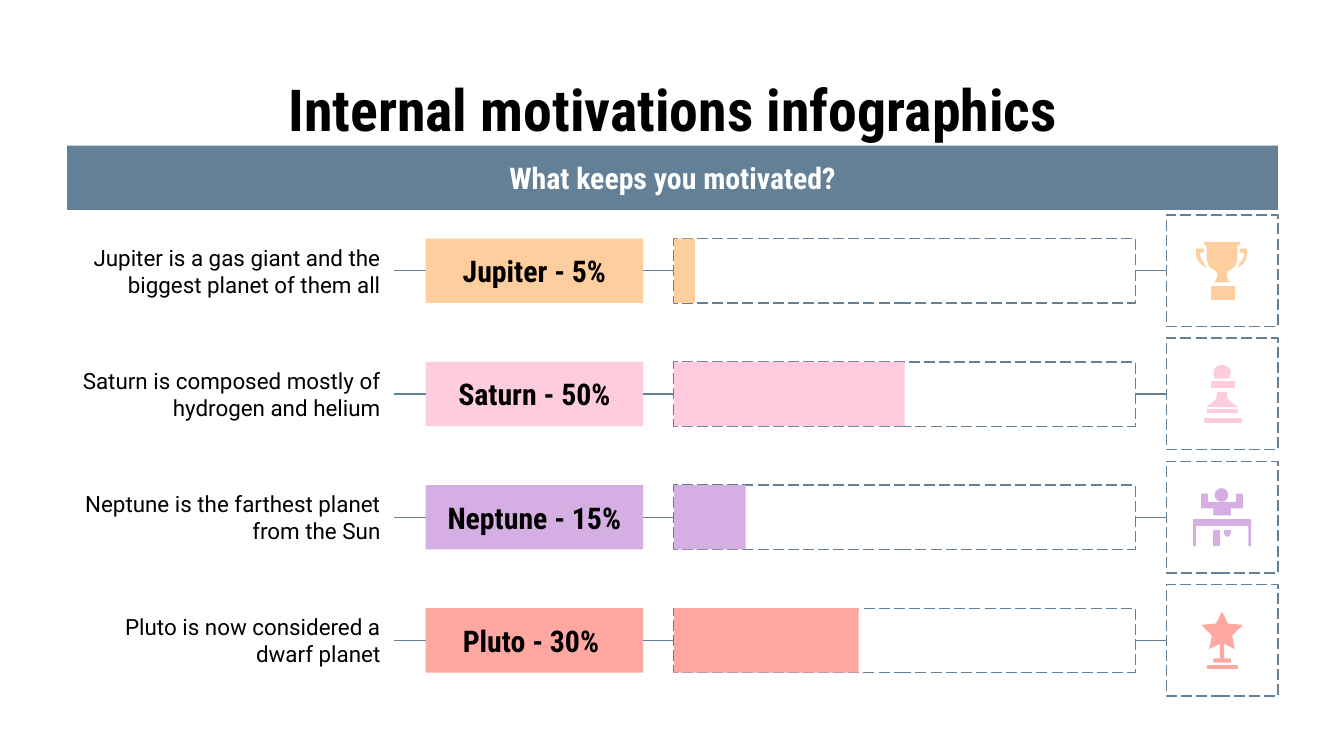
from lxml import etree
from pptx import Presentation
from pptx import util as u
from pptx.dml.color import RGBColor
from pptx.enum import dml, shapes, text
from pptx.oxml import ns

Pt = u.Pt
COLORS = {"slate": "638097", "black": "000000", "white": "FFFFFF",
          "orange": "FFCE9E", "pink": "FFCBDE", "purple": "D5AEE4", "coral": "FFA7A1"}
HEAD_FONT, BODY_FONT = "Roboto Condensed", "Roboto"
ICON_GRID = 83  # icons are drawn on a square grid of 83 units


def bar(x, y, width, height):
    return [(x, y), (x + width, y), (x + width, y + height), (x, y + height)]


# Icon outlines: pairs are corners, sixes are Bezier curves
TROPHY = [
    bar(33, 53, 18, 10),
    [(55, 25), (55, 28), (58, 28), (58, 31, 57, 34, 55, 35), (54, 37, 54, 38, 53, 39),
     (58, 37, 60, 33, 60, 28), (60, 25)],
    [(22, 25), (22, 28), (22, 33, 25, 37, 30, 39), (29, 38, 28, 37, 28, 35),
     (26, 34, 25, 31, 25, 28), (28, 28), (28, 25)],
    [(28, 20), (28, 22), (29, 22), (29, 22, 30, 23, 30, 24), (30, 29),
     (30, 38, 33, 40, 36, 41), (37, 42, 38, 43, 38, 44), (38, 46, 37, 50, 35, 50), (48, 50),
     (46, 50, 45, 46, 45, 44), (45, 43, 46, 42, 47, 41), (50, 40, 53, 38, 53, 29),
     (53, 24), (53, 23, 53, 22, 54, 22), (55, 22), (55, 20)],
]
PAWN = [
    [(37, 40), (38, 40, 38, 41, 38, 41), (38, 46, 34, 48, 31, 50), (30, 51), (53, 51),
     (52, 50), (48, 48, 45, 46, 45, 41), (45, 41, 45, 40, 45, 40)],
    bar(30, 53, 23, 3), bar(28, 59, 28, 4), bar(33, 32, 18, 5),
    [(41.5, 20), (38, 20, 35, 22, 35, 26), (35, 27, 35, 28, 36, 30), (47, 30),
     (47, 28, 48, 27, 48, 26), (48, 22, 45, 20, 41.5, 20)],
]
WINNER = [
    [(20, 43), (20, 63), (22, 63), (22, 48), (61, 48), (61, 63), (63, 63), (63, 43)],
    bar(35, 51, 5, 12),
    [(41, 20), (39, 20, 36, 22, 36, 25), (36, 28, 39, 30, 41, 30),
     (44, 30, 46, 28, 46, 25), (46, 22, 44, 20, 41, 20)],
    [(43, 51), (43, 53), (43, 54, 44, 56, 45, 56), (47, 56, 48, 54, 48, 53), (48, 51)],
    [(26, 24), (26, 35), (35, 35), (35, 40), (48, 40), (48, 35), (57, 35), (57, 24),
     (52, 24), (52, 30), (31, 30), (31, 24)],
]
STAR = [
    [(41.5, 20), (37, 29), (26, 30), (34, 38), (32, 48), (40, 44), (40, 55), (35, 55),
     (35, 58), (48, 58), (48, 55), (43, 55), (43, 44), (51, 48), (49, 38), (57, 30), (46, 29)],
    bar(30, 60, 23, 3),
]

# Description, label, filled share of the track, colour, icon
ROWS = [
    ("Jupiter is a gas giant and the biggest planet of them all", "Jupiter - 5%",
     0.045, "orange", TROPHY),
    ("Saturn is composed mostly of hydrogen and helium", "Saturn - 50%",
     0.5, "pink", PAWN),
    ("Neptune is the farthest planet from the Sun", "Neptune - 15%",
     0.155, "purple", WINNER),
    ("Pluto is now considered a dwarf planet", "Pluto - 30% ",
     0.4, "coral", STAR),
]


def rgb(name):
    return RGBColor.from_string(COLORS[name])


def write(shape, words, size, font, color="black", bold=True,
          align=text.PP_ALIGN.CENTER, anchor=text.MSO_ANCHOR.MIDDLE):
    frame = shape.text_frame
    frame.word_wrap = True
    frame.auto_size = text.MSO_AUTO_SIZE.NONE
    frame.vertical_anchor = anchor
    frame.margin_left = frame.margin_right = Pt(7.2)
    frame.margin_top = frame.margin_bottom = Pt(7.2)
    para = frame.paragraphs[0]
    para.alignment = align
    span = para.add_run()
    span.text = words
    span.font.size, span.font.name, span.font.bold = Pt(size), font, bold
    span.font.color.rgb = rgb(color)


def paint(shape, color):
    shape.shadow.inherit = False
    shape.fill.solid()
    shape.fill.fore_color.rgb = rgb(color)
    shape.line.fill.background()


def add_box(page, box, color=None):
    """Add a filled rectangle, or a dashed frame if no colour is given."""
    shape = page.shapes.add_shape(shapes.MSO_SHAPE.RECTANGLE, *map(Pt, box))
    if color:
        paint(shape, color)
    else:
        shape.shadow.inherit = False
        shape.fill.background()
        shape.line.color.rgb = rgb("slate")
        shape.line.width = Pt(0.75)
        shape.line.dash_style = dml.MSO_LINE.LONG_DASH
    return shape


def link(page, first, second):
    """Join the right side of one box to the left side of the next."""
    line = page.shapes.add_connector(shapes.MSO_CONNECTOR.STRAIGHT, 0, 0, 0, 0)
    line.begin_connect(first, 3)
    line.end_connect(second, 1)
    line.line.color.rgb = rgb("slate")
    line.line.width = Pt(0.75)
    etree.SubElement(line._element.spPr, ns.qn("a:effectLst"))


def flatten(outline, steps=8):
    """Turn corners and Bezier curves into a list of points."""
    points = []
    for part in outline:
        if len(part) == 2:
            points.append(part)
            continue
        controls = [points[-1], part[0:2], part[2:4], part[4:6]]
        for step in range(1, steps + 1):
            t = step / steps
            weights = ((1 - t) ** 3, 3 * t * (1 - t) ** 2, 3 * t * t * (1 - t), t ** 3)
            points.append(tuple(sum(w * c[axis] for w, c in zip(weights, controls))
                                for axis in (0, 1)))
    return points


def draw_icon(page, box, outlines, color):
    left, top, width, _ = box
    unit = width / ICON_GRID
    for outline in outlines:
        points = [(Pt(left + x * unit), Pt(top + y * unit)) for x, y in flatten(outline)]
        builder = page.shapes.build_freeform(*points[0])
        builder.add_line_segments(points[1:], close=True)
        paint(builder.convert_to_shape(), color)


def draw_title(page, box):
    title = page.shapes.title
    title.left, title.top, title.width, title.height = map(Pt, box)
    write(title, "Internal motivations infographics", 31, HEAD_FONT,
          anchor=text.MSO_ANCHOR.TOP)


def draw_banner(page, box):
    write(add_box(page, box, "slate"), "What keeps you motivated?", 16, HEAD_FONT, "white")


def draw_row(page, box, description, label, share, color, icon):
    left, top, width, height = box
    middle = top + height / 2
    bar_height, text_height = 34.5, 44.6
    bar_top = middle - bar_height / 2

    # Description and coloured label
    note = page.shapes.add_textbox(*map(Pt, (left, middle - text_height / 2,
                                             175, text_height)))
    write(note, description, 12, BODY_FONT, bold=False, align=text.PP_ALIGN.RIGHT)
    tag = add_box(page, (left + 192, bar_top, 116.6, bar_height), color)
    write(tag, label, 16, HEAD_FONT)

    # Dashed track with its filled share
    track_left, track_width = left + 325.2, 247
    track = add_box(page, (track_left, bar_top, track_width, bar_height))
    add_box(page, (track_left, bar_top, track_width * share, bar_height), color)

    # Icon in a square frame
    icon_box = (left + width - height, top, height, height)
    frame = add_box(page, icon_box)
    draw_icon(page, icon_box, icon, color)

    for first, second in ((note, tag), (tag, track), (track, frame)):
        link(page, first, second)


def main():
    deck = Presentation()
    deck.slide_width, deck.slide_height = Pt(720), Pt(405)
    page = deck.slides.add_slide(deck.slide_layouts[5])
    left, width = 36, 648.6
    draw_title(page, (left, 32.4, width, 44.6))
    draw_banner(page, (left, 78, width, 34.5))
    for index, row in enumerate(ROWS):
        draw_row(page, (left, 115.2 + index * 66, width, 59.8), *row)
    deck.save("out.pptx")


if __name__ == "__main__":
    main()
